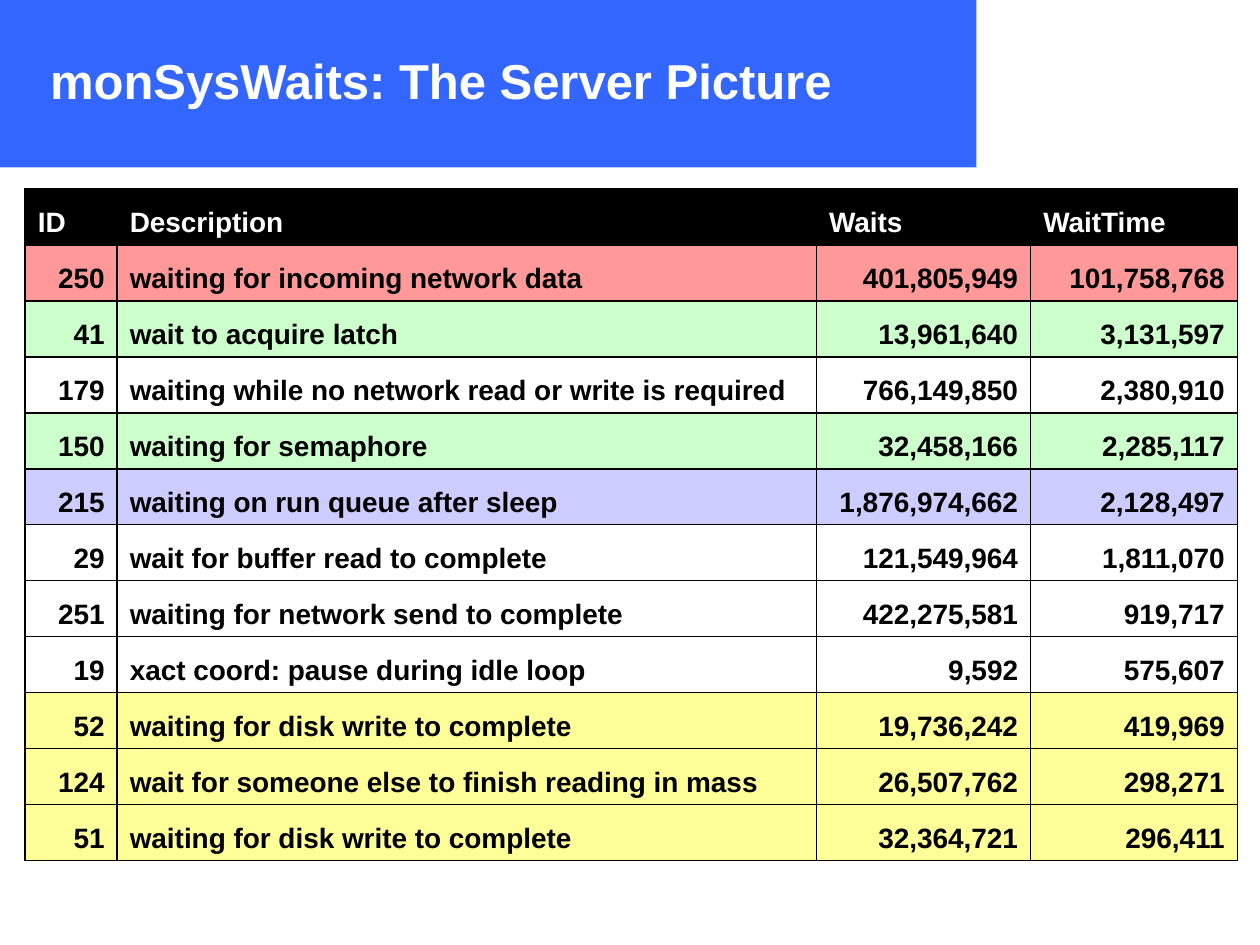
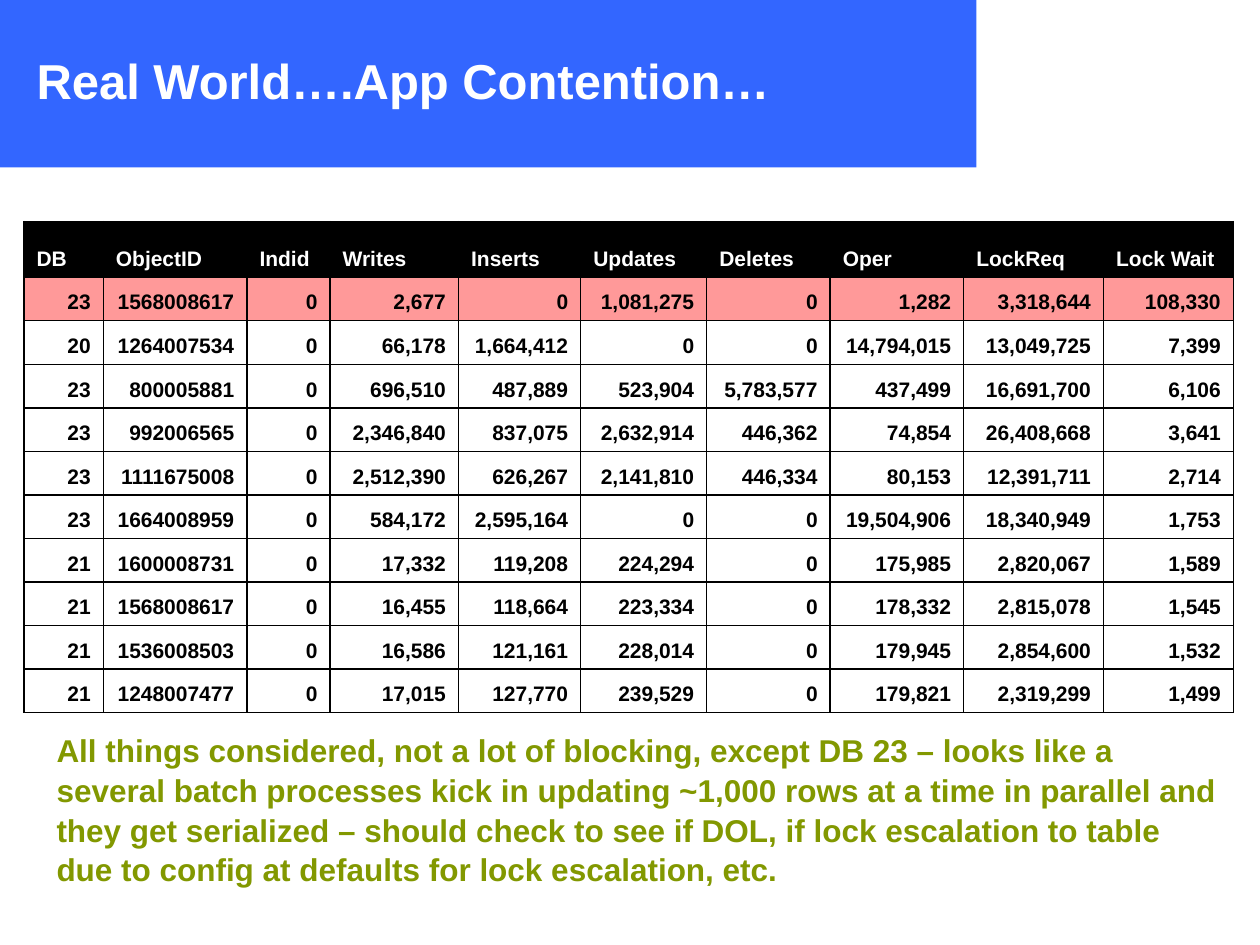
"""Build two slides of server wait and lock contention tables."""
from dataclasses import dataclass, field

from lxml import etree
from pptx import Presentation
from pptx.dml.color import RGBColor
from pptx.enum import shapes, text
from pptx.oxml import ns
from pptx.util import Inches, Pt

FONT = "Arial"
BLUE = RGBColor(0x33, 0x66, 0xFF)
WHITE = RGBColor(0xFF, 0xFF, 0xFF)
BLACK = RGBColor(0x00, 0x00, 0x00)
OLIVE = RGBColor(0x82, 0x98, 0x00)
RED = RGBColor(0xFF, 0x99, 0x99)
GREEN = RGBColor(0xCC, 0xFF, 0xCC)
LILAC = RGBColor(0xCC, 0xCC, 0xFF)
YELLOW = RGBColor(0xFF, 0xFF, 0x99)

LEFT, RIGHT = text.PP_ALIGN.LEFT, text.PP_ALIGN.RIGHT


@dataclass
class Grid:
    """A bordered table with a black header row and tinted data rows."""
    left: float
    top: float
    height: float
    header_height: float
    size: int
    widths: list[float]
    header: list[str]
    rows: list[list[str]]
    tints: dict[int, RGBColor]
    left_columns: set[int] = field(default_factory=set)


WAITS = Grid(
    left=0.2, top=1.5, height=5.33, header_height=5.33 / 12, size=16,
    widths=[0.73, 5.55, 1.7, 1.64],
    header=["ID", "Description", "Waits", "WaitTime"],
    rows=[
        ["250", "waiting for incoming network data", "401,805,949", "101,758,768"],
        ["41", "wait to acquire latch", "13,961,640", "3,131,597"],
        ["179", "waiting while no network read or write is required", "766,149,850", "2,380,910"],
        ["150", "waiting for semaphore", "32,458,166", "2,285,117"],
        ["215", "waiting on run queue after sleep", "1,876,974,662", "2,128,497"],
        ["29", "wait for buffer read to complete", "121,549,964", "1,811,070"],
        ["251", "waiting for network send to complete", "422,275,581", "919,717"],
        ["19", "xact coord: pause during idle loop", "9,592", "575,607"],
        ["52", "waiting for disk write to complete", "19,736,242", "419,969"],
        ["124", "wait for someone else to finish reading in mass", "26,507,762", "298,271"],
        ["51", "waiting for disk write to complete", "32,364,721", "296,411"],
    ],
    tints={1: RED, 2: GREEN, 4: GREEN, 5: LILAC, 9: YELLOW, 10: YELLOW, 11: YELLOW},
    left_columns={1},
)

CONTENTION = Grid(
    left=0.19, top=1.76, height=3.9, header_height=0.44, size=12,
    widths=[0.63, 1.14, 0.66, 1.02, 0.97, 1, 0.98, 1.06, 1.11, 1.03],
    header=["DB", "ObjectID", "Indid", "Writes", "Inserts", "Updates", "Deletes", "Oper",
            "LockReq", "Lock Wait"],
    rows=[line.split() for line in (
        "23 1568008617 0 2,677 0 1,081,275 0 1,282 3,318,644 108,330",
        "20 1264007534 0 66,178 1,664,412 0 0 14,794,015 13,049,725 7,399",
        "23 800005881 0 696,510 487,889 523,904 5,783,577 437,499 16,691,700 6,106",
        "23 992006565 0 2,346,840 837,075 2,632,914 446,362 74,854 26,408,668 3,641",
        "23 1111675008 0 2,512,390 626,267 2,141,810 446,334 80,153 12,391,711 2,714",
        "23 1664008959 0 584,172 2,595,164 0 0 19,504,906 18,340,949 1,753",
        "21 1600008731 0 17,332 119,208 224,294 0 175,985 2,820,067 1,589",
        "21 1568008617 0 16,455 118,664 223,334 0 178,332 2,815,078 1,545",
        "21 1536008503 0 16,586 121,161 228,014 0 179,945 2,854,600 1,532",
        "21 1248007477 0 17,015 127,770 239,529 0 179,821 2,319,299 1,499",
    )],
    tints={1: RED},
)

COMMENT = (
    "All things considered, not a lot of blocking, except DB 23 – looks like a several batch "
    "processes kick in updating ~1,000 rows at a time in parallel and they get serialized – "
    "should check to see if DOL, if lock escalation to table due to config at defaults for "
    "lock escalation, etc."
)


def write(frame, words: str, *, size: int, color: RGBColor, align=LEFT, spacing: float = 1.0) -> None:
    """Put one bold paragraph into a text frame."""
    para = frame.paragraphs[0]
    para.alignment = align
    para.line_spacing = spacing
    span = para.add_run()
    span.text = words
    span.font.name = FONT
    span.font.size = Pt(size)
    span.font.bold = True
    span.font.color.rgb = color


def add_band(page, layout) -> None:
    """Draw the blue title band and move it behind everything on the layout."""
    band = page.shapes.add_shape(shapes.MSO_SHAPE.RECTANGLE, 0, 0, Inches(7.75), Inches(1.33))
    band.shadow.inherit = False
    band.fill.solid()
    band.fill.fore_color.rgb = BLUE
    band.line.fill.background()
    layout.shapes.element.insert(2, band.element)


def set_title(page, words: str) -> None:
    """Place and format the slide title."""
    title = page.shapes.title
    title.left, title.top = Inches(0.19), Inches(0.01)
    title.width, title.height = Inches(7.54), Inches(1.25)
    title.fill.solid()
    title.fill.fore_color.rgb = BLUE
    title.text_frame.auto_size = text.MSO_AUTO_SIZE.NONE
    title.text_frame.vertical_anchor = text.MSO_ANCHOR.MIDDLE
    write(title.text_frame, words, size=28, color=WHITE)


def add_borders(cell) -> None:
    """Give a cell thin black lines on all four sides."""
    properties = cell._tc.get_or_add_tcPr()
    for place, side in enumerate(("lnL", "lnR", "lnT", "lnB")):
        line = etree.Element(ns.qn(f"a:{side}"), w=str(Pt(1)))
        fill = etree.SubElement(line, ns.qn("a:solidFill"))
        etree.SubElement(fill, ns.qn("a:srgbClr"), val=str(BLACK))
        properties.insert(place, line)


def add_grid(page, grid: Grid) -> None:
    """Draw a table from its description."""
    lines = [grid.header, *grid.rows]
    table = page.shapes.add_table(
        len(lines), len(grid.widths), Inches(grid.left), Inches(grid.top),
        Inches(sum(grid.widths)), Inches(grid.height)).table
    table.first_row = table.horz_banding = False
    for column, width in zip(table.columns, grid.widths):
        column.width = Inches(width)
    row_height = (grid.height - grid.header_height) / len(grid.rows)
    for r, line in enumerate(lines):
        is_header = r == 0
        table.rows[r].height = Inches(grid.header_height if is_header else row_height)
        for c, words in enumerate(line):
            cell = table.cell(r, c)
            cell.vertical_anchor = text.MSO_ANCHOR.BOTTOM
            cell.fill.solid()
            cell.fill.fore_color.rgb = BLACK if is_header else grid.tints.get(r, WHITE)
            add_borders(cell)
            write(cell.text_frame, words, size=grid.size, color=WHITE if is_header else BLACK,
                  align=LEFT if is_header or c in grid.left_columns else RIGHT)


def add_comment(page, words: str) -> None:
    """Add the closing remark below the table."""
    box = page.shapes.add_textbox(Inches(0.35), Inches(5.74), Inches(9.42), Inches(1.3))
    box.text_frame.word_wrap = True
    write(box.text_frame, words, size=18, color=OLIVE, spacing=1.05)


def main() -> None:
    """Build and save the deck."""
    deck = Presentation()
    deck.slide_width, deck.slide_height = Inches(10), Inches(7.5)
    layout = deck.slide_layouts[5]

    waits_page = deck.slides.add_slide(layout)
    add_band(waits_page, layout)
    set_title(waits_page, " monSysWaits: The Server Picture")
    add_grid(waits_page, WAITS)

    contention_page = deck.slides.add_slide(layout)
    set_title(contention_page, "Real World….App Contention…")
    add_grid(contention_page, CONTENTION)
    add_comment(contention_page, COMMENT)

    deck.save("out.pptx")


if __name__ == "__main__":
    main()
